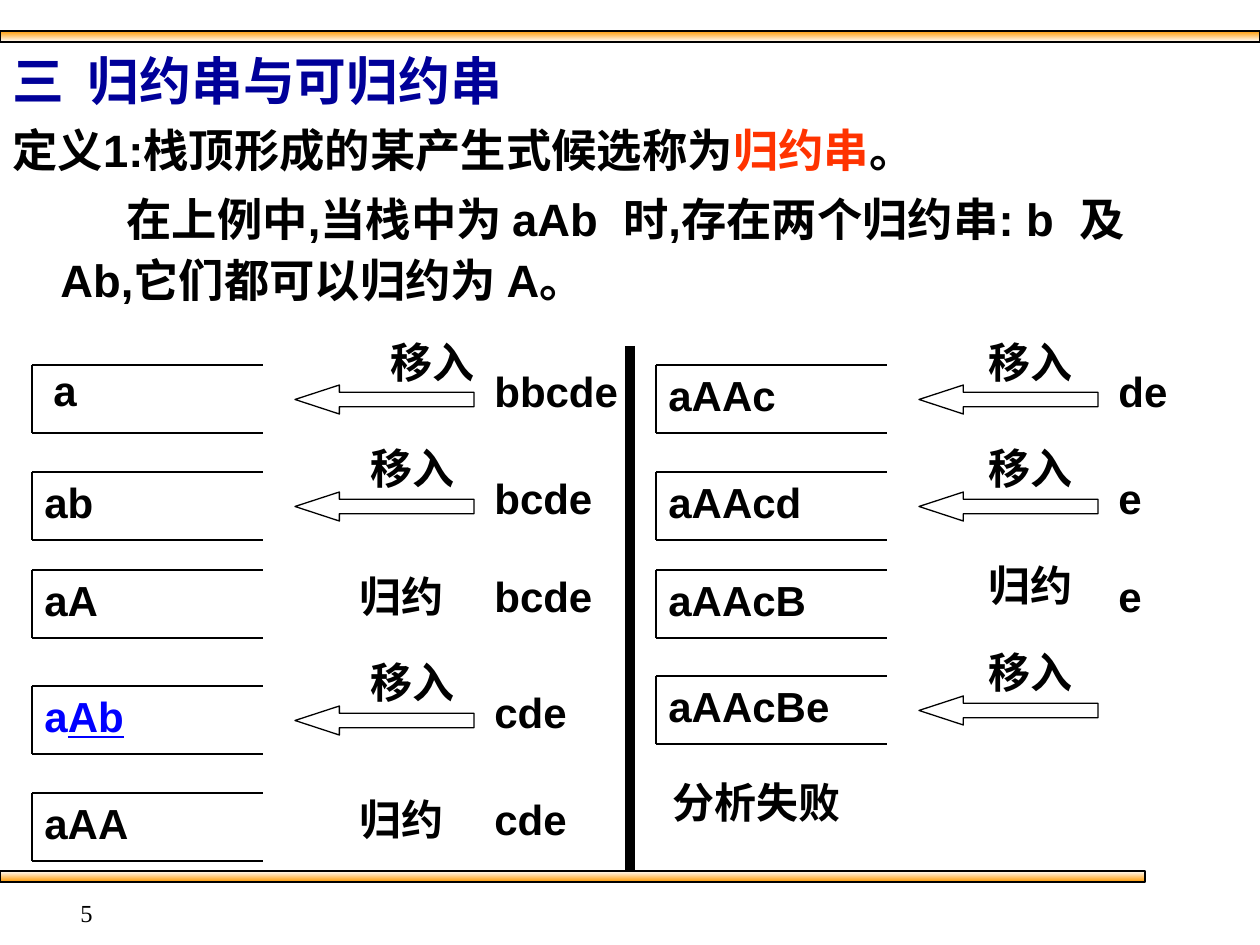
from collections import namedtuple

from pptx import Presentation
from pptx.dml.color import RGBColor
from pptx.enum.shapes import MSO_CONNECTOR, MSO_SHAPE
from pptx.enum.text import MSO_ANCHOR, MSO_AUTO_SIZE, PP_ALIGN
from pptx.oxml.ns import qn
from pptx.oxml.xmlchemy import OxmlElement
from pptx.util import Pt

PX = 914400 / 126
BLACK = RGBColor(0x00, 0x00, 0x00)
WHITE = RGBColor(0xFF, 0xFF, 0xFF)
ORANGE = RGBColor(0xFF, 0x99, 0x00)
NAVY = RGBColor(0x00, 0x00, 0x99)
RED = RGBColor(0xFF, 0x33, 0x00)
BLUE = RGBColor(0x00, 0x00, 0xFF)

LABEL = {"name": "Arial", "size": Pt(24), "bold": True, "color": BLACK}
TITLE = {**LABEL, "size": Pt(29.6), "color": NAVY}
BODY = {**LABEL, "size": Pt(25.9)}
VERDICT = {**LABEL, "name": "Times New Roman"}
NUMBER = {**VERDICT, "size": Pt(14), "bold": False}

SHIFT, REDUCE = "移入", "归约"
# Offsets are measured from the column's left edge and the row's top.
Step = namedtuple("Step", "top stack width action action_x action_y remaining")
LEFT_STEPS = [
    Step(365, [("a", {})], 49, SHIFT, 346, -29, "bbcde"),
    Step(472, [("ab", {})], 74, SHIFT, 326, -30, "bcde"),
    Step(570, [("aA", {})], 79, REDUCE, 315, 0, "bcde"),
    Step(686, [("a", {"color": BLUE}), ("Ab", {"color": BLUE, "underline": True})],
         106, SHIFT, 326, -30, "cde"),
    Step(793, [("aAA", {})], 110, REDUCE, 315, 0, "cde"),
]
RIGHT_STEPS = [
    Step(365, [("aAAc", {})], 134, SHIFT, 320, -29, "de"),
    Step(472, [("aAAcd", {})], 159, SHIFT, 320, -30, "e"),
    Step(570, [("aAAcB", {})], 164, REDUCE, 320, -11, "e"),
    Step(676, [("aAAcBe", {})], 186, SHIFT, 320, -30, ""),
]


def px(*lengths):
    return [round(length * PX) for length in lengths]


def add_span(para, text, style):
    span = para.add_run()
    span.text = text
    for key, value in style.items():
        if key == "color":
            span.font.color.rgb = value
        else:
            setattr(span.font, key, value)
    return span


def add_box(page, area, wrap=True):
    """Add an empty text box and return its frame."""
    frame = page.shapes.add_textbox(*px(*area)).text_frame
    frame.word_wrap = wrap
    return frame


def add_label(page, area, spans, wrap=False, anchor=MSO_ANCHOR.TOP, spacing=0.9, style=LABEL):
    frame = add_box(page, area, wrap)
    frame.auto_size = MSO_AUTO_SIZE.SHAPE_TO_FIT_TEXT
    frame.vertical_anchor = anchor
    para = frame.paragraphs[0]
    para.line_spacing = spacing
    for text, changes in spans:
        add_span(para, text, {**style, **changes})


def add_line(page, start, end, width=0.75):
    line = page.shapes.add_connector(MSO_CONNECTOR.STRAIGHT, *px(*start, *end))
    line.line.color.rgb = BLACK
    line.line.width = Pt(width)
    line._element.spPr.append(OxmlElement("a:effectLst"))


def add_outlined(page, kind, area):
    shape = page.shapes.add_shape(kind, *px(*area))
    shape.shadow.inherit = False
    shape.line.color.rgb = BLACK
    shape.line.width = Pt(0.75)
    return shape


def add_bar(page, area, top_color, bottom_color):
    bar = add_outlined(page, MSO_SHAPE.RECTANGLE, area)
    bar.fill.gradient()
    bar.fill.gradient_angle = 270
    for stop, color in zip(bar.fill.gradient_stops, (top_color, bottom_color)):
        stop.color.rgb = color


def add_definition(page, area):
    """Place the heading, the definition and its example."""
    red = {**BODY, "color": RED}
    example = "在上例中,当栈中为 aAb  时,存在两个归约串: b  及  Ab,它们都可以归约为 A。"
    # Each entry: first-line indent, space before, line spacing, spans.
    paragraphs = [
        (-48, 0, 1.0, [("三  归约串与可归约串", TITLE)]),
        (-48, 7, 1.0, [("定义1:栈顶形成的某产生式候选称为", BODY), ("归约串", red), ("。", BODY)]),
        (66, 4, 1.13, [(example, BODY)]),
    ]
    frame = add_box(page, area)
    for index, (indent, before, spacing, spans) in enumerate(paragraphs):
        para = frame.add_paragraph() if index else frame.paragraphs[0]
        properties = para._p.get_or_add_pPr()
        for key, length in (("marL", 48), ("indent", indent)):
            properties.set(key, str(px(length)[0]))
        para.line_spacing = spacing
        if before:
            para.space_before = Pt(before)
        for text, style in spans:
            add_span(para, text, style)


def add_stack(page, left, top, width=231, height=68):
    """Draw a stack as a bracket that is open on the right."""
    right, bottom = left + width, top + height
    add_line(page, (left, top), (right, top))
    add_line(page, (left, top), (left, bottom))
    add_line(page, (left, bottom), (right, bottom))


def add_steps(page, left, steps):
    """Place one column of parsing steps: stack, action and remaining input."""
    for step in steps:
        top = step.top
        add_stack(page, left, top)
        text_x, text_y = (9, -1) if step.stack == [("a", {})] else (0, 4)
        add_label(page, (left + text_x, top + text_y, step.width, 58), step.stack)
        if step.action == SHIFT:
            arrow = add_outlined(page, MSO_SHAPE.LEFT_ARROW, (left + 263, top + 20, 179, 29))
            arrow.adjustments[1] = 1.53
            arrow.fill.solid()
            arrow.fill.fore_color.rgb = WHITE
        add_label(page, (left + step.action_x, top + step.action_y, 110, 58), [(step.action, {})])
        if step.remaining:
            add_label(page, (left + 450, top, 154, 58), [(step.remaining, {})],
                      wrap=True, anchor=MSO_ANCHOR.MIDDLE)


def add_page_number(page, area):
    para = add_box(page, area).paragraphs[0]
    para.alignment = PP_ALIGN.RIGHT
    field = add_span(para, "5", NUMBER)._r
    field.tag = qn("a:fld")
    field.set("id", "{B6F15528-21DE-4FAA-801E-634DDDAF4B2B}")
    field.set("type", "slidenum")


def main():
    deck = Presentation()
    deck.slide_width, deck.slide_height = px(1260, 945)
    deck.element.set("firstSlideNum", "5")
    page = deck.slides.add_slide(deck.slide_layouts[6])
    add_bar(page, (0, 31, 1260, 11), ORANGE, WHITE)
    add_bar(page, (0, 871, 1145, 11), WHITE, ORANGE)
    add_definition(page, (0, 42, 1205, 284))
    add_steps(page, 32, LEFT_STEPS)
    add_steps(page, 656, RIGHT_STEPS)
    add_line(page, (630, 346), (630, 871), width=6)
    add_label(page, (660, 770, 193, 63), [("分析失败", {})], spacing=1.0, style=VERDICT)
    add_page_number(page, (0, 892, 105, 32))
    deck.save("out.pptx")


if __name__ == "__main__":
    main()
